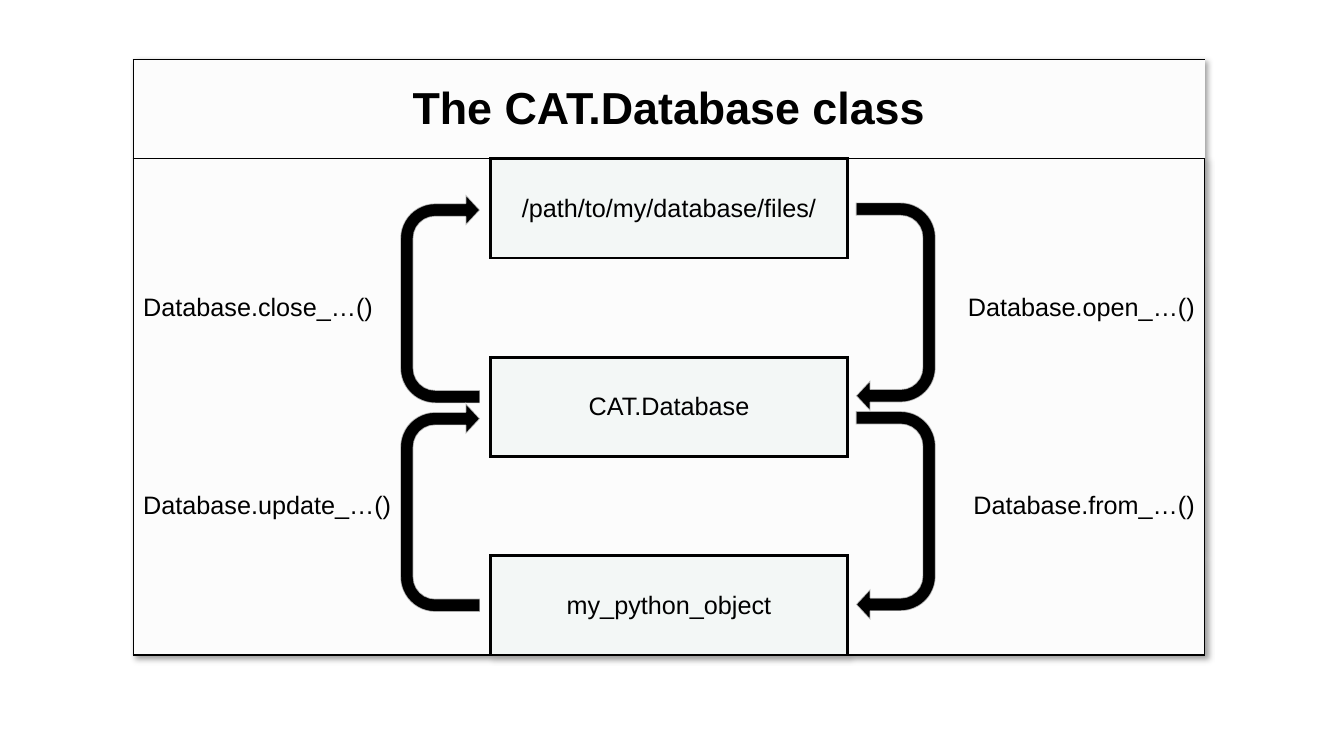
from lxml import etree
from pptx import Presentation, util as u
from pptx.dml.color import RGBColor
from pptx.enum import shapes, text
from pptx.oxml.ns import qn

BLACK = RGBColor(0x00, 0x00, 0x00)
WHITE = RGBColor(0xFF, 0xFF, 0xFF)
PANEL = RGBColor(0xFC, 0xFC, 0xFC)
BOX = RGBColor(0xF3, 0xF7, 0xF6)

ROWS, COLS = 6, 3
PLAIN = "{2D5ABB26-0587-4C30-8999-92F81FD0307C}"  # table style with no grid
TITLE = "The CAT.Database class"
BOXES = {
    (1, 1): "/path/to/my/database/files/",
    (3, 1): "CAT.Database",
    (5, 1): "my_python_object",
}
CALLS = {
    (2, 0): "Database.close_…()",
    (2, 2): "Database.open_…()",
    (4, 0): "Database.update_…()",
    (4, 2): "Database.from_…()",
}
ALIGN = (text.PP_ALIGN.LEFT, text.PP_ALIGN.CENTER, text.PP_ALIGN.RIGHT)
SIDES = {"lnL": (0, -1), "lnR": (0, 1), "lnT": (-1, 0), "lnB": (1, 0)}
ADJUST = (0.165, 0.194, 0.18, 0.438, 1)


def add_color(parent, color, alpha=None):
    fill = etree.SubElement(parent, qn("a:solidFill"))
    tone = etree.SubElement(fill, qn("a:srgbClr"), val=str(color))
    if alpha:
        etree.SubElement(tone, qn("a:alpha"), val=str(alpha * 1000))


def write(cell, words, align, size=18, bold=False):
    cell.text_frame.text = words
    cell.vertical_anchor = text.MSO_ANCHOR.MIDDLE
    para = cell.text_frame.paragraphs[0]
    para.alignment = align
    font = para.runs[0].font
    font.name, font.size, font.bold = "Arial", u.Pt(size), bold
    font.color.rgb = BLACK


def border(cell, row, col):
    """Draw thick lines around boxes and thin ones around title and panel."""
    props = cell._tc.get_or_add_tcPr()
    for index, (side, (down, right)) in enumerate(SIDES.items()):
        near = (row + down, col + right)
        outer = not (0 <= near[0] < ROWS and 0 <= near[1] < COLS)
        if (row, col) in BOXES or near in BOXES:
            width = 2.25
        elif outer or {row, near[0]} == {0, 1}:
            width = 1
        else:
            width = 0
        line = etree.Element(qn("a:" + side), w=str(u.Pt(width)))
        if width:
            add_color(line, BLACK)
        else:
            etree.SubElement(line, qn("a:noFill"))
        props.insert(index, line)


def cast_shadow(table):
    props = table._tbl.tblPr
    effects = etree.Element(qn("a:effectLst"))
    shade = etree.SubElement(effects, qn("a:outerShdw"), blurRad="50800",
                             dist="38100", dir="2700000", algn="tl")
    tone = etree.SubElement(shade, qn("a:srgbClr"), val=str(BLACK))
    etree.SubElement(tone, qn("a:alpha"), val="40000")
    props.insert(0, effects)


def add_panel(slide, left, top, width, height):
    table = slide.shapes.add_table(ROWS, COLS, left, top, width, height).table
    table.first_row = table.horz_banding = False
    table._tbl.tblPr.find(qn("a:tableStyleId")).text = PLAIN
    cast_shadow(table)
    for row in range(ROWS):
        for col in range(COLS):
            cell, spot = table.cell(row, col), (row, col)
            cell.fill.solid()
            cell.fill.fore_color.rgb = BOX if spot in BOXES else PANEL
            border(cell, row, col)
            words = BOXES.get(spot) or CALLS.get(spot)
            if words:
                write(cell, words, ALIGN[col])
    head = table.cell(0, 0)
    head.merge(table.cell(0, COLS - 1))
    write(head, TITLE, text.PP_ALIGN.CENTER, 32, True)


def add_turns(slide, left, top, width, height, angle):
    """Stack two U-turn arrows in a column, each half of its height."""
    group = slide.shapes.add_group_shape()
    span = height // 2
    for step in range(2):
        # The frame is given before rotation about its centre.
        arrow = group.shapes.add_shape(
            shapes.MSO_SHAPE.U_TURN_ARROW, left + (width - span) // 2,
            top + step * span + (span - width) // 2, span, width)
        arrow.rotation = angle
        for index, value in enumerate(ADJUST):
            arrow.adjustments[index] = value
        arrow.shadow.inherit = False
        arrow.fill.solid()
        arrow.fill.fore_color.rgb = BLACK
        arrow.line.width = u.Pt(1)
        add_color(arrow.line._get_or_add_ln(), WHITE, 67)


def main():
    deck = Presentation()
    deck.slide_width, deck.slide_height = u.Inches(13.33), u.Inches(7.5)
    slide = deck.slides.add_slide(deck.slide_layouts[6])
    left, top, width, height = map(u.Inches, (1.32, 0.59, 10.63, 5.91))
    add_panel(slide, left, top, width, height)
    wide, tall = u.Inches(0.79), u.Inches(4.14)
    add_turns(slide, u.Inches(8.49), u.Inches(2.01), wide, tall, 90)
    add_turns(slide, u.Inches(3.97), u.Inches(1.93), wide, tall, 270)
    deck.save("out.pptx")


if __name__ == "__main__":
    main()
